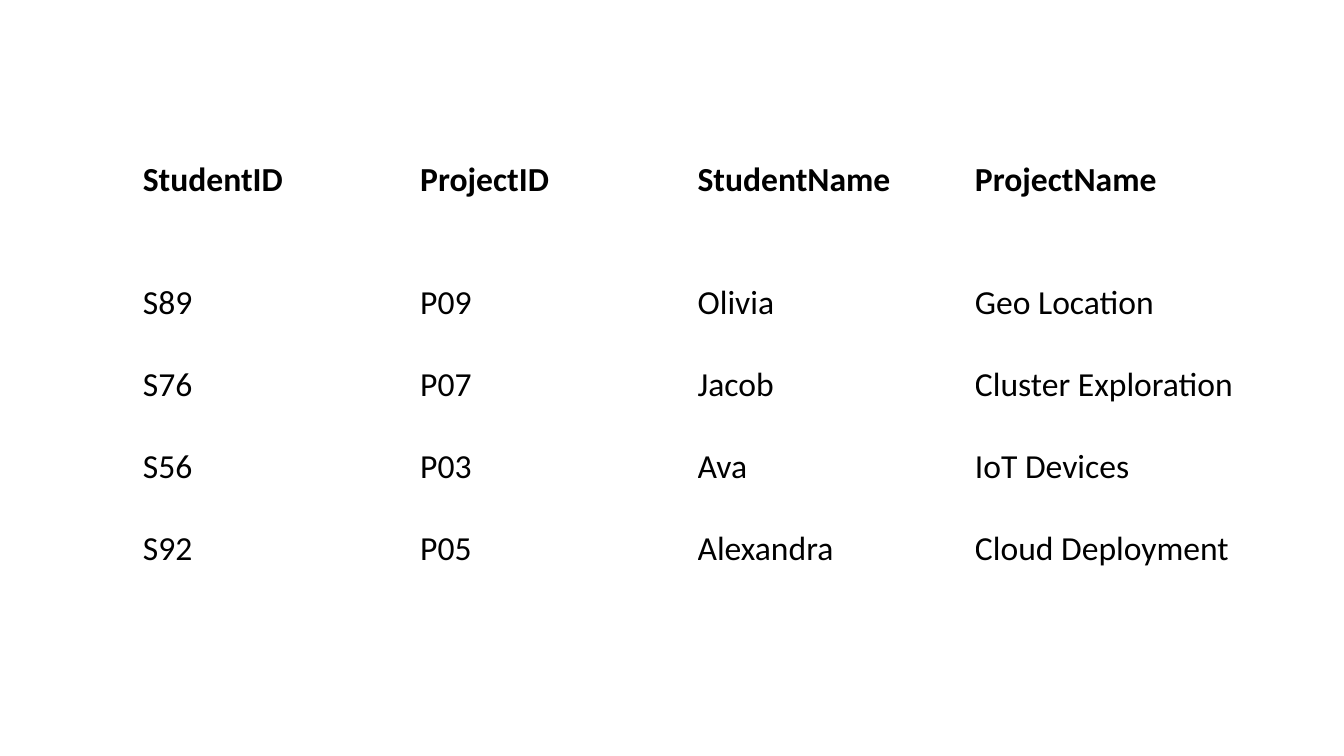
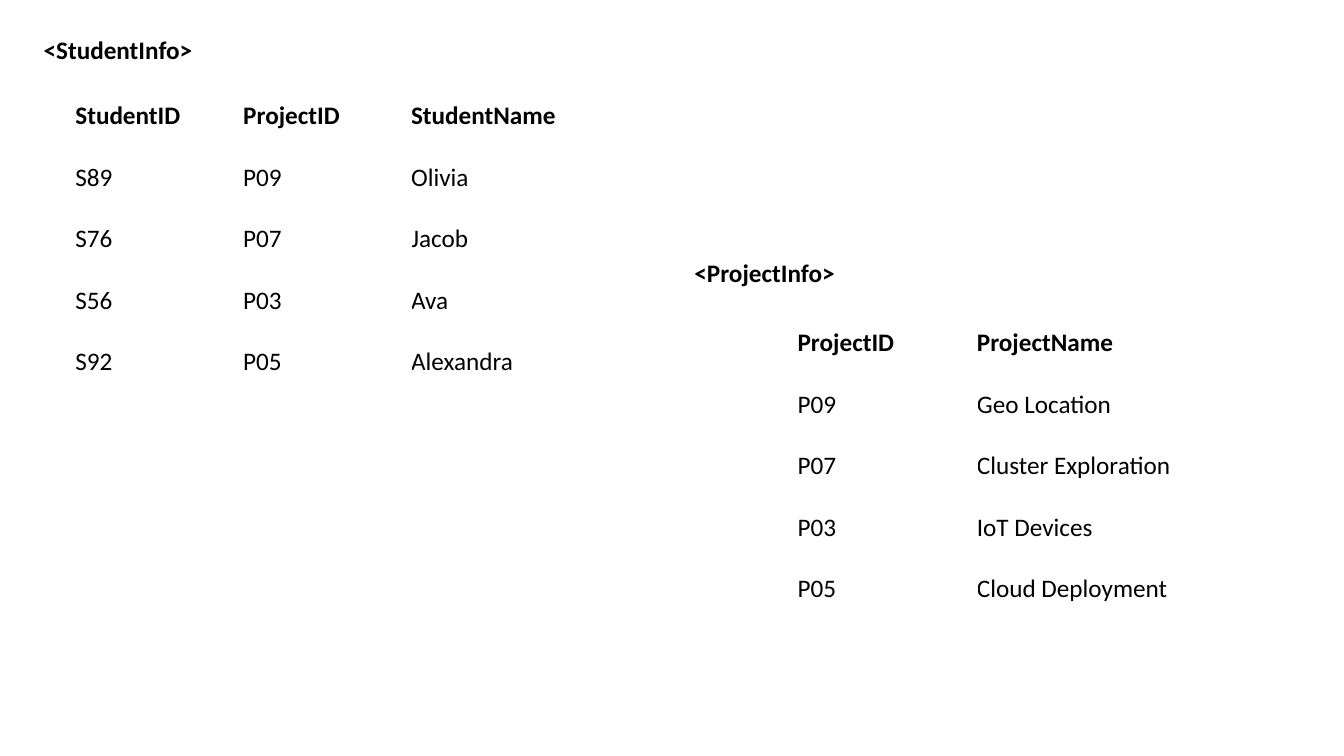
from dataclasses import dataclass

from pptx import Presentation
from pptx.dml.color import RGBColor
from pptx.enum.text import MSO_ANCHOR
from pptx.util import Cm, Pt

TOP = MSO_ANCHOR.TOP
BLANK = 6


@dataclass(frozen=True)
class Theme:
    font: str = "Calibri"
    ink: RGBColor = RGBColor(0, 0, 0)
    large: int = 24
    small: int = 18


class Deck:
    """Holds the style and the current slide."""

    def __init__(self, theme):
        self.theme = theme
        self.deck = Presentation()
        self.deck.slide_width = Cm(33.87)
        self.deck.slide_height = Cm(19.05)
        self.slide = None

    def page(self):
        layout = self.deck.slide_layouts[BLANK]
        self.slide = self.deck.slides.add_slide(layout)

    def add_text(self, frame, text, size, bold):
        run = frame.paragraphs[0].add_run()
        run.text = text
        run.font.name = self.theme.font
        run.font.size = Pt(size)
        run.font.bold = bold
        run.font.color.rgb = self.theme.ink

    def label(self, text, left, top, width):
        box = self.slide.shapes.add_textbox(Cm(left), Cm(top), Cm(width), Cm(1.02))
        box.text_frame.word_wrap = True
        self.add_text(box.text_frame, text, self.theme.small, True)

    def table(self, rows, left, top, widths, head, pitch, size):
        """Draws a plain grid: a bold head row, then rows of equal pitch."""
        high = head + pitch * (len(rows) - 1)
        frame = self.slide.shapes.add_table(
            len(rows), len(widths), Cm(left), Cm(top), Cm(sum(widths)), Cm(high))
        grid = frame.table
        grid.first_row = grid.horz_banding = False
        for col, width in zip(grid.columns, widths):
            col.width = Cm(width)
        for i, values in enumerate(rows):
            grid.rows[i].height = Cm(pitch if i else head)
            for j, value in enumerate(values):
                cell = grid.cell(i, j)
                cell.fill.background()
                cell.vertical_anchor = TOP
                cell.margin_left = cell.margin_right = 0
                cell.margin_top = cell.margin_bottom = 0
                self.add_text(cell.text_frame, value, size, i == 0)


# Records shared by both slides
RECORDS = [
    ("StudentID", "ProjectID", "StudentName", "ProjectName"),
    ("S89", "P09", "Olivia", "Geo Location"),
    ("S76", "P07", "Jacob", "Cluster Exploration"),
    ("S56", "P03", "Ava", "IoT Devices"),
    ("S92", "P05", "Alexandra", "Cloud Deployment"),
]


def main():
    theme = Theme()
    show = Deck(theme)

    # Slide 1: all columns in one table
    show.page()
    show.table(RECORDS, 3.6, 4.02, [6.99] * 4, 3.1, 2.07, theme.large)

    # Slide 2: columns split into two tables
    show.page()
    students = [row[:3] for row in RECORDS]
    projects = [row[1::2] for row in RECORDS]
    show.label("<StudentInfo>", 0.85, 0.74, 17.1)
    show.table(students, 1.9, 2.54, [4.23] * 3, 1.55, 1.55, theme.small)
    show.label("<ProjectInfo>", 17.25, 6.35, 16.5)
    show.table(projects, 20.1, 8.26, [4.52, 6.71], 1.55, 1.55, theme.small)

    show.deck.save("out.pptx")


if __name__ == "__main__":
    main()
